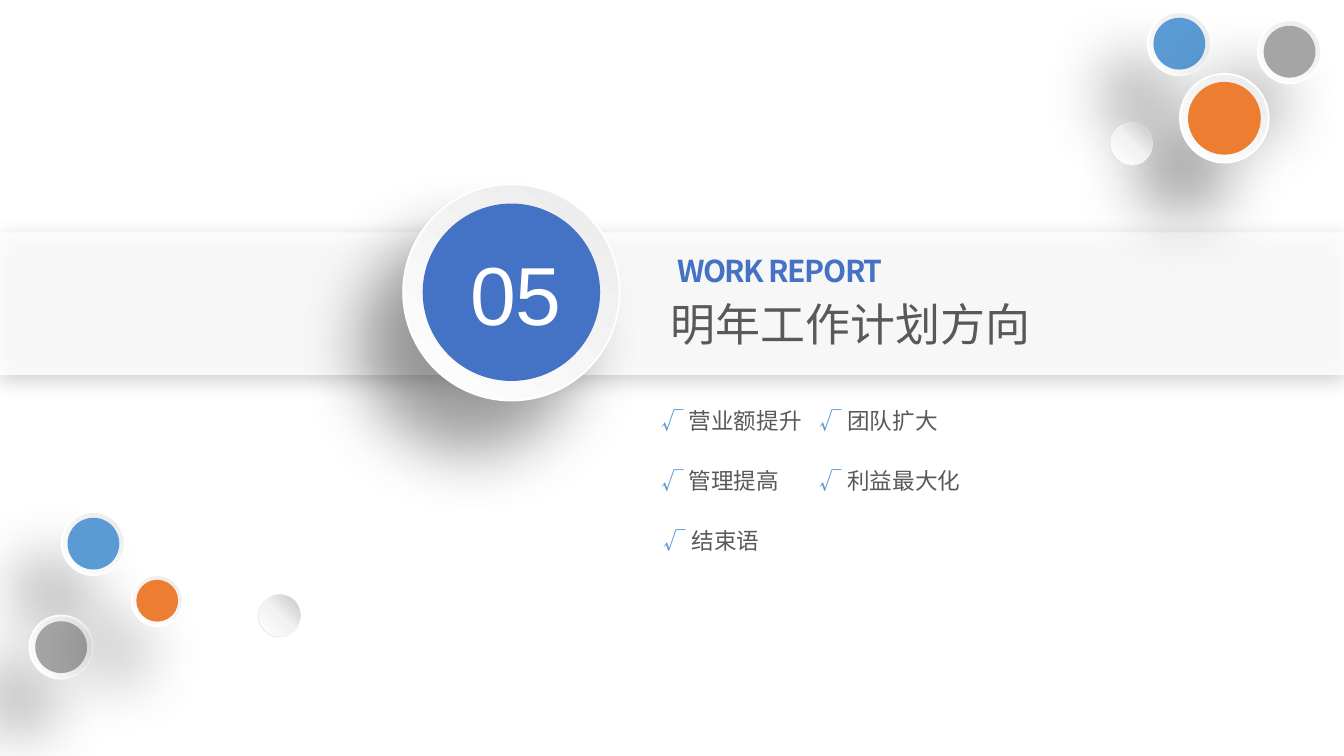
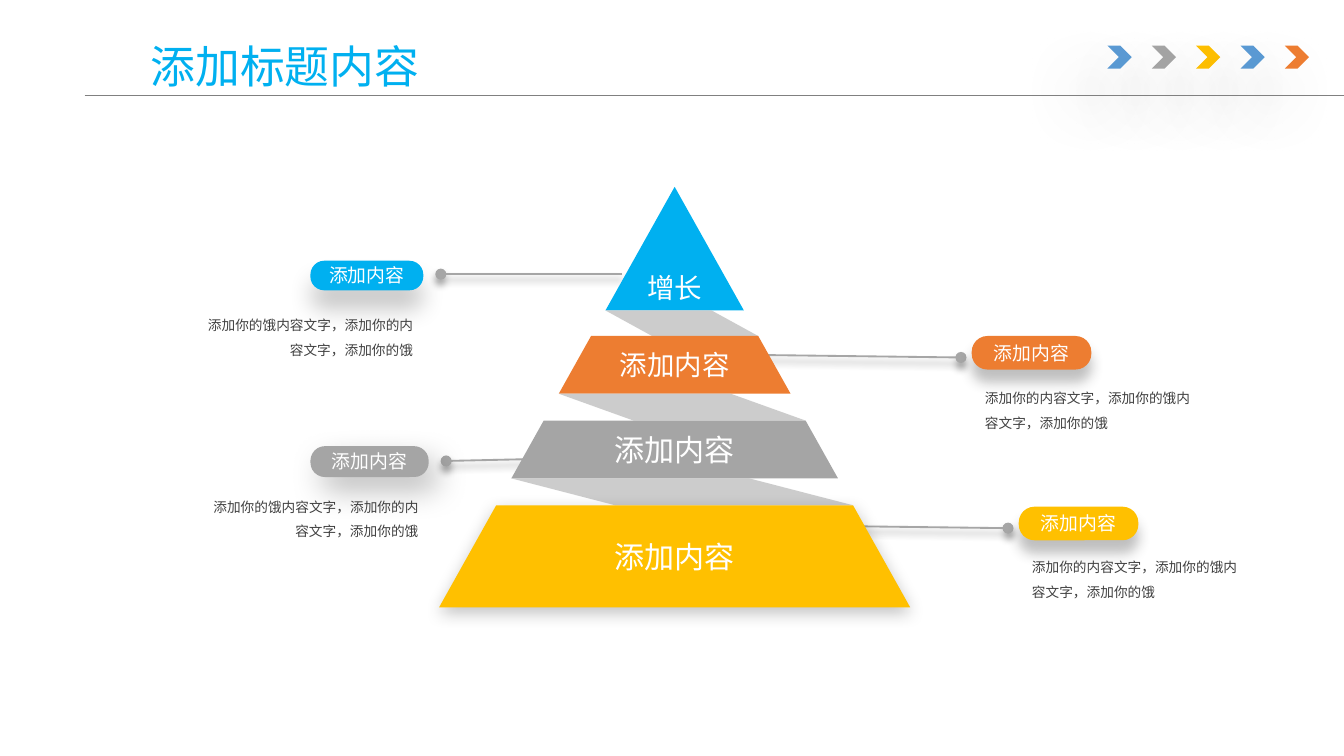
"""Build a section opener and a pyramid slide that share one theme."""
from dataclasses import dataclass

from lxml.etree import SubElement
from pptx import Presentation
from pptx.dml.color import RGBColor
from pptx.enum.shapes import MSO_CONNECTOR, MSO_SHAPE
from pptx.enum.text import MSO_ANCHOR, MSO_AUTO_SIZE, PP_ALIGN
from pptx.oxml.ns import qn
from pptx.util import Inches, Pt


@dataclass(frozen=True)
class Theme:
    """Colours, fonts, type sizes, gradients and shadows."""
    white: str = "FFFFFF"
    blue: str = "5B9BD5"
    royal: str = "4472C4"
    sky: str = "00B0F0"
    orange: str = "ED7D31"
    gold: str = "FFC000"
    gray: str = "A5A5A5"
    connector: str = "A6A6A6"
    rule: str = "808080"
    ribbon: str = "BFBFBF"
    ink: str = "595959"
    body: str = "404040"
    latin: str = "Arial"
    chinese: str = "Noto Sans CJK SC"
    number_size: float = 44.1
    heading_size: float = 24.1
    title_size: float = 24
    large_size: float = 16.1
    medium_size: float = 14.7
    list_size: float = 12.1
    label_size: float = 10.1
    body_size: float = 7.3
    ring: tuple = (126, (0, "EBEBEB"), (100, "FEFEFE"))
    rim: tuple = (135, (0, "F2F2F2"), (55, "F2F2F2"), (100, "D9D9D9"))
    pearl: tuple = (315, (0, "FFFFFF"), (51, "F2F2F2"), (100, "C5C5C5"))
    band_shadow: tuple = ("000000", 22, 11, 3, 90)
    ring_shadow: tuple = ("000000", 38, 36, 35, 130)
    chevron_shadow: tuple = ("000000", 38, 36, 24, 130)
    line_shadow: tuple = ("000000", 40, 4, 3, 90)
    right_shadow: tuple = ("404040", 32, 7, 7, 90)
    sky_shadow: tuple = ("000000", 22, 13, 10, 90)
    gray_shadow: tuple = ("000000", 26, 17, 9, 54)
    base_shadow: tuple = ("000000", 23, 9, 3, 90)


theme = Theme()
COLUMNS, ROWS = 100, 56.25
CELL = Inches(10) / COLUMNS


def draw(slide, kind, place, fill=None, alpha=100, line=None, shadow=None, tail=None):
    """Add a preset shape, a line or an outline, placed in grid cells."""
    if kind == "outline":
        points = [(round(x * CELL), round(y * CELL)) for x, y in place]
        builder = slide.shapes.build_freeform(*points[0], scale=1.0)
        builder.add_line_segments(points[1:], close=True)
        shape = builder.convert_to_shape()
    else:
        lengths = [round(length * CELL) for length in place]
        if kind == "line":
            shape = slide.shapes.add_connector(MSO_CONNECTOR.STRAIGHT, *lengths)
        else:
            shape = slide.shapes.add_shape(kind, *lengths)
    properties = shape.element.spPr
    if isinstance(fill, tuple):
        angle, *stops = fill
        shape.fill.gradient()
        stop_list = properties.find(".//" + qn("a:gsLst"))
        stop_list.clear()
        for position, color in stops:
            stop = SubElement(stop_list, qn("a:gs"), pos=str(position * 1000))
            SubElement(stop, qn("a:srgbClr"), val=color)
        properties.find(".//" + qn("a:lin")).set("ang", str(angle * 60000))
    elif fill:
        shape.fill.solid()
        shape.fill.fore_color.rgb = RGBColor.from_string(fill)
        if alpha < 100:
            color = properties.find(".//" + qn("a:srgbClr"))
            SubElement(color, qn("a:alpha"), val=str(alpha * 1000))
    if line:
        shape.line.color.rgb = RGBColor.from_string(line[0])
        shape.line.width = Pt(line[1])
    else:
        shape.line.fill.background()
    if tail:
        SubElement(properties.find(qn("a:ln")), qn("a:tailEnd"), type=tail)
    effects = SubElement(properties, qn("a:effectLst"))
    if shadow:
        color, opacity, blur, distance, angle = shadow
        outer = SubElement(effects, qn("a:outerShdw"), blurRad=str(Pt(blur)),
                           dist=str(Pt(distance)), dir=str(angle * 60000),
                           algn="ctr", rotWithShape="0")
        color = SubElement(outer, qn("a:srgbClr"), val=color)
        SubElement(color, qn("a:alpha"), val=str(opacity * 1000))
    return shape


def write(shape, text, place=None, size=12, color=theme.white, font=theme.latin,
          align=PP_ALIGN.LEFT, anchor=MSO_ANCHOR.TOP, wrap=True, grow=True,
          bold=False, spacing=None, tracking=None, mark=None):
    """Put one formatted paragraph in a shape, placed in grid cells if given."""
    if place:
        shape.left, shape.top, shape.width, shape.height = [
            round(length * CELL) for length in place]
    frame = shape.text_frame
    frame.word_wrap = wrap
    frame.auto_size = MSO_AUTO_SIZE.SHAPE_TO_FIT_TEXT if grow else MSO_AUTO_SIZE.NONE
    frame.vertical_anchor = anchor
    paragraph = frame.paragraphs[0]
    paragraph.alignment = align
    if spacing:
        paragraph.line_spacing = spacing
    runs = [(mark, theme.blue)] if mark else []
    for words, run_color in runs + [(text, color)]:
        run = paragraph.add_run()
        run.text = words
        run.font.name = font
        run.font.size = Pt(size)
        run.font.bold = bold
        run.font.color.rgb = RGBColor.from_string(run_color)
        run_properties = run.font._element
        SubElement(run_properties, qn("a:ea"), typeface=theme.chinese)
        if tracking:
            run_properties.set("spc", str(round(tracking * 100)))


presentation = Presentation()
presentation.slide_width = round(COLUMNS * CELL)
presentation.slide_height = round(ROWS * CELL)
title_only = presentation.slide_layouts[5]

opener = presentation.slides.add_slide(title_only)
draw(opener, MSO_SHAPE.RECTANGLE, (0, 17.3, COLUMNS, 10.6), theme.white, alpha=84,
     shadow=theme.band_shadow)
title = opener.shapes.title
title.element.getparent().append(title.element)
write(title, "明年工作计划方向", (48.9, 21.6, 31.1, 5.1), size=theme.heading_size,
      color=theme.ink)
write(opener.shapes.add_textbox(0, 0, 0, 0), "WORK REPORT", (49.4, 18.3, 24.3, 3.7),
      size=theme.large_size, color=theme.royal, font=theme.chinese, bold=True,
      tracking=-0.75)

topics = [("营业额提升", 48.2, 12.5), ("团队扩大", 60, 10.8), ("管理提高", 48.2, 11.2),
          ("利益最大化", 60, 12.6), ("结束语", 48.4, 10.8)]
for index, (topic, left, width) in enumerate(topics):
    write(opener.shapes.add_textbox(0, 0, 0, 0), topic,
          (left, 29.8 + index // 2 * 4.45, width, 3), size=theme.list_size,
          color=theme.ink, font=theme.chinese, wrap=False, mark="√ ")

discs = [(30, 13.7, 16.1, theme.royal), (4.6, 38.1, 4.7, theme.blue),
         (2.2, 45.8, 4.7, theme.gray), (9.8, 42.8, 3.8, theme.orange),
         (85.4, 0.9, 4.7, theme.blue), (93.6, 1.5, 4.7, theme.gray),
         (87.8, 5.5, 6.6, theme.orange)]
for left, top, size, color in discs:
    draw(opener, MSO_SHAPE.OVAL, (left, top, size, size), theme.ring,
         line=(theme.white, 1), shadow=theme.ring_shadow)
    inset = size * 0.09
    core = size - 2 * inset
    draw(opener, MSO_SHAPE.OVAL, (left + inset, top + inset, core, core), color)
write(opener.shapes.add_textbox(0, 0, 0, 0), "05", (34, 17.6, 9.1, 8.4),
      size=theme.number_size)

for left, top in [(19.2, 44.2), (82.6, 9.1)]:
    rim = draw(opener, MSO_SHAPE.DONUT, (left, top, 3.2, 3.2), theme.rim)
    rim.adjustments[0] = 0.05
    draw(opener, MSO_SHAPE.OVAL, (left + 0.05, top + 0.05, 3.1, 3.1), theme.pearl)

pyramid = presentation.slides.add_slide(title_only)
write(pyramid.shapes.title, "添加标题内容", (10.2, -0.3, 86.2, 10.9),
      size=theme.title_size, color=theme.sky, font=theme.chinese,
      anchor=MSO_ANCHOR.MIDDLE, grow=False, spacing=0.9)
chevron_colors = [theme.blue, theme.gray, theme.gold, theme.blue, theme.orange]
for index, color in enumerate(chevron_colors):
    draw(pyramid, MSO_SHAPE.CHEVRON, (82.4 + 3.3 * index, 3.4, 1.8, 1.7), color,
         shadow=theme.chevron_shadow)
draw(pyramid, "line", (6.3, 7.1, COLUMNS, 7.1), line=(theme.rule, 0.5))

right_text = "添加你的内容文字，添加你的饿内容文字，添加你的饿"
left_text = "添加你的饿内容文字，添加你的内容文字，添加你的饿"
callouts = [
    (theme.gold, theme.right_shadow, (75.8, 37.7, 8.9, 2.5),
     (58.8, 39.1, 75, 39.3), (75.8, 40.5), PP_ALIGN.LEFT, right_text),
    (theme.sky, theme.sky_shadow, (23.1, 19.4, 8.4, 2.2),
     (46.3, 20.4, 32.8, 20.4), (13.8, 22.5), PP_ALIGN.RIGHT, left_text),
    (theme.gray, theme.gray_shadow, (23.1, 33.2, 8.8, 2.3),
     (46.7, 34, 33.2, 34.3), (14.2, 36), PP_ALIGN.RIGHT, left_text),
    (theme.orange, theme.right_shadow, (72.3, 25, 8.9, 2.5),
     (55.3, 26.4, 71.5, 26.6), (72.3, 27.9), PP_ALIGN.LEFT, right_text),
]
for color, shadow, pill_place, line_place, corner, align, text in callouts:
    draw(pyramid, "line", line_place, line=(theme.connector, 1), tail="oval",
         shadow=theme.line_shadow)
    pill = draw(pyramid, MSO_SHAPE.ROUNDED_RECTANGLE, pill_place, color, shadow=shadow)
    pill.adjustments[0] = 0.47
    left, top, width, height = pill_place
    write(pyramid.shapes.add_textbox(0, 0, 0, 0), "添加内容",
          (left + width / 2 - 3.8, top + height / 2 - 1.35, 7.6, 2.7),
          size=theme.label_size, align=PP_ALIGN.CENTER, wrap=False)
    write(pyramid.shapes.add_textbox(0, 0, 0, 0), text, (*corner, 17.9, 4.7),
          size=theme.body_size, color=theme.body, align=align, spacing=1.5)

center, apex, slope = 50.2, 13.9, 0.56
tiers = [
    (13.9, 23.1, theme.sky, "增长", theme.medium_size, MSO_ANCHOR.BOTTOM, None),
    (25, 29.3, theme.orange, "添加内容", theme.medium_size, MSO_ANCHOR.MIDDLE, None),
    (31.3, 35.6, theme.gray, "添加内容", theme.large_size, MSO_ANCHOR.MIDDLE, None),
    (37.6, 45.2, theme.gold, "添加内容", theme.large_size, MSO_ANCHOR.MIDDLE,
     theme.base_shadow),
]
for index, (top, bottom, color, text, size, anchor, shadow) in enumerate(tiers):
    upper, lower = slope * (top - apex), slope * (bottom - apex)
    if index:
        above = tiers[index - 1][1]
        left, right = center - slope * (above - apex), center + upper
        width = 3 + 4.9 * index
        draw(pyramid, "outline", [(left, above), (left + width, above), (right, top),
                                  (right - width, top)], theme.ribbon, alpha=79)
    corners = [(center - lower, bottom), (center - upper, top),
               (center + upper, top), (center + lower, bottom)]
    tier = draw(pyramid, "outline", list(dict.fromkeys(corners)), color, shadow=shadow)
    write(tier, text, size=size, font=theme.chinese, align=PP_ALIGN.CENTER,
          anchor=anchor, grow=False)

presentation.save("out.pptx")
